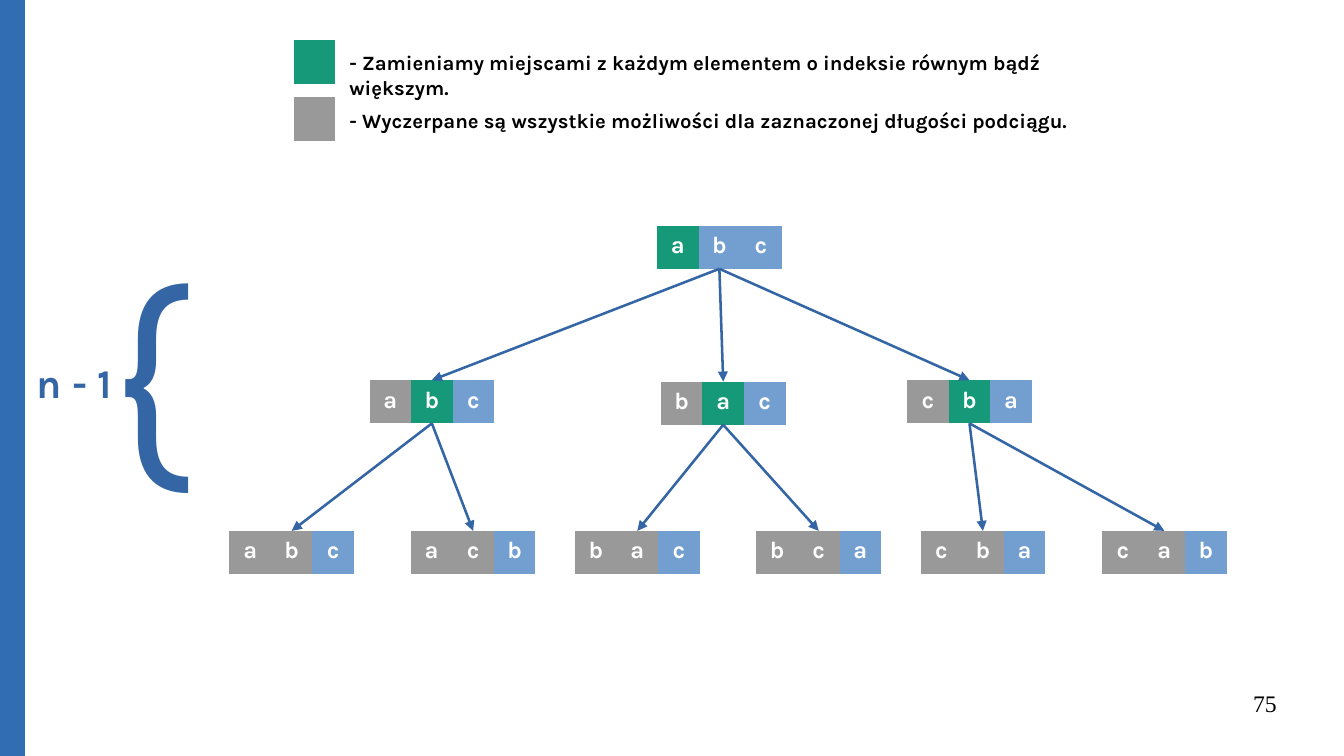
from lxml import etree
from pptx import Presentation
from pptx.dml.color import RGBColor
from pptx.enum.shapes import MSO_CONNECTOR, MSO_SHAPE
from pptx.enum.text import MSO_ANCHOR, PP_ALIGN
from pptx.oxml.ns import qn
from pptx.util import Cm, Pt

RECT = MSO_SHAPE.RECTANGLE
STRAIGHT = MSO_CONNECTOR.STRAIGHT
TOP = MSO_ANCHOR.TOP
LEFT, CENTER, RIGHT = PP_ALIGN.LEFT, PP_ALIGN.CENTER, PP_ALIGN.RIGHT

COLORS = {
    "bar": "306DB3", "line": "3465A4", "swap": "159979", "done": "999999",
    "open": "729FCF", "text": "000000", "letter": "FFFFFF",
}
NO_GRID_STYLE = "{2D5ABB26-0587-4C30-8999-92F81FD0307C}"
CELL_W, CELL_H = 0.865, 0.9
NODE_W = 3 * CELL_W


def rgb(name):
    return RGBColor.from_string(COLORS[name])


def format_text(p, size, color, bold=True, font="Karla", align=LEFT):
    p.alignment = align
    for r in p.runs:
        r.font.size = Pt(size)
        r.font.name = font
        r.font.bold = bold
        r.font.color.rgb = rgb(color)


def add_text(s, x, y, w, h, text, size, color, margins=True, **style):
    tb = s.shapes.add_textbox(Cm(x), Cm(y), Cm(w), Cm(h))
    tf = tb.text_frame
    tf.word_wrap = True
    tf.vertical_anchor = TOP
    if not margins:
        tf.margin_left = tf.margin_right = tf.margin_top = tf.margin_bottom = 0
    tf.text = text
    format_text(tf.paragraphs[0], size, color, **style)
    return tb


def add_cells(s, x, y, letters, fills):
    """One-row table with a fill for each cell."""
    n = len(fills)
    frame = s.shapes.add_table(1, n, Cm(x), Cm(y), Cm(n * CELL_W), Cm(CELL_H))
    table = frame.table
    table.first_row = table.horz_banding = False
    next(frame._element.iter(qn("a:tableStyleId"))).text = NO_GRID_STYLE
    for i, fill in enumerate(fills):
        table.columns[i].width = Cm(CELL_W)
        cell = table.cell(0, i)
        cell.fill.solid()
        cell.fill.fore_color.rgb = rgb(fill)
        if letters:
            cell.text = letters[i]
            format_text(cell.text_frame.paragraphs[0], 14, "letter", align=CENTER)
        else:
            cell.margin_top = cell.margin_bottom = 0


def add_arrow(s, start, end):
    c = s.shapes.add_connector(STRAIGHT, *(Cm(v) for v in start + end))
    c.line.color.rgb = rgb("line")
    c.line.width = Pt(1.5)
    etree.SubElement(c.line._get_or_add_ln(), qn("a:tailEnd"), type="triangle")
    etree.SubElement(c._element.spPr, qn("a:effectLst"))


def add_side_bar(s, x, y, w, h):
    sp = s.shapes.add_shape(RECT, Cm(x), Cm(y), Cm(w), Cm(h))
    sp.shadow.inherit = False
    sp.fill.solid()
    sp.fill.fore_color.rgb = rgb("bar")
    sp.line.fill.background()


def add_legend(s, x, y, w):
    items = [
        ("swap", "- Zamieniamy miejscami z każdym elementem o indeksie równym bądź większym."),
        ("done", "- Wyczerpane są wszystkie możliwości dla zaznaczonej długości podciągu."),
    ]
    for i, (fill, text) in enumerate(items):
        row_y = y + 1.19 * i
        add_cells(s, x, row_y, "", [fill])
        add_text(s, x + 0.91, row_y + 0.09, w - 0.91, 1.4, text, 12, "text")


def add_tree(s, x, y):
    """Permutation tree: root, three swaps, and two leaves for each swap."""
    root = (x + 8.91, y)
    branches = [
        ("abc", 2.92, 3.22, ("abc", "acb")),
        ("bac", 8.99, 3.25, ("bac", "bca")),
        ("cba", 14.12, 3.22, ("cba", "cab")),
    ]

    def top(node):
        return node[0] + NODE_W / 2, node[1]

    def bottom(node):
        return node[0] + NODE_W / 2, node[1] + CELL_H

    add_cells(s, *root, "abc", ["swap", "open", "open"])
    for i, (letters, dx, dy, leaves) in enumerate(branches):
        branch = (x + dx, y + dy)
        add_cells(s, *branch, letters, ["done", "swap", "open"])
        add_arrow(s, bottom(root), top(branch))
        for j, leaf_letters in enumerate(leaves):
            leaf = (x + 7.2 * i + 3.78 * j, y + 6.36)
            add_cells(s, *leaf, leaf_letters, ["done", "done", "open"])
            add_arrow(s, bottom(branch), top(leaf))


def add_depth_label(s, x, y):
    add_text(s, x, y + 2.67, 2.11, 3.45, "n - 1", 24, "line")
    brace = add_text(s, x + 2.61, y, 1.1, 6.98, "}", 140, "line", bold=False)
    brace.rotation = 180


def add_page_number(s, x, y, w, h):
    add_text(s, x, y, w, h, "75", 14, "text", margins=False, bold=False,
             font="Times New Roman", align=RIGHT)


def main():
    prs = Presentation()
    prs.slide_width, prs.slide_height = Cm(28), Cm(15.75)
    s = prs.slides.add_slide(prs.slide_layouts[6])
    add_side_bar(s, 0, 0, 0.52, 15.75)
    add_legend(s, 6.12, 0.84, 16.56)
    add_tree(s, 4.78, 4.7)
    add_depth_label(s, 0.51, 4.67)
    add_page_number(s, 20.07, 14.35, 6.53, 1.1)
    prs.save("out.pptx")


if __name__ == "__main__":
    main()
